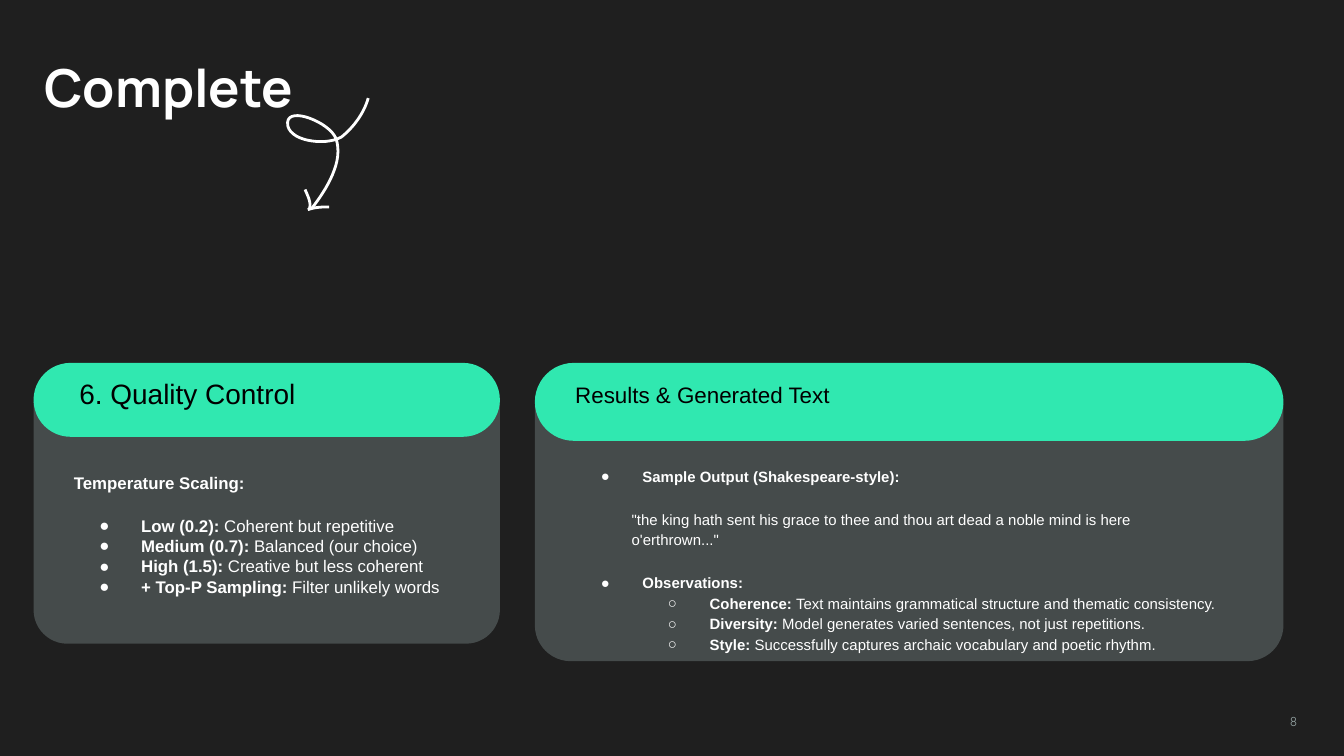
from lxml import etree
from pptx import Presentation
from pptx import util as u
from pptx.dml.color import RGBColor
from pptx.enum import shapes, text
from pptx.oxml import ns

PX = 9144
DARK = RGBColor(0x1F, 0x1F, 0x1F)
SLATE = RGBColor(0x45, 0x4B, 0x4B)
MINT = RGBColor(0x30, 0xE8, 0xB0)
WHITE = RGBColor(0xFF, 0xFF, 0xFF)
BLACK = RGBColor(0, 0, 0)
GREY = RGBColor(0x93, 0xA2, 0xA2)

PLAIN = {"left": 0, "indent": 0, "right": 0, "bullet": None, "before": 0}
GAP = {**PLAIN, "before": 12}
DOT = {**PLAIN, "left": 50, "indent": -31, "bullet": "●"}
GAP_DOT = {**DOT, "before": 12}
RING = {**DOT, "left": 100, "bullet": "○"}
QUOTE = {**GAP, "left": 42, "right": 42}

QUALITY = [
    (PLAIN, "Temperature Scaling:", ""),
    (GAP_DOT, "Low (0.2):", " Coherent but repetitive"),
    (DOT, "Medium (0.7):", " Balanced (our choice)"),
    (DOT, "High (1.5):", " Creative but less coherent"),
    (DOT, "+ Top-P Sampling:", " Filter unlikely words"),
]
RESULTS = [
    (DOT, "Sample Output (Shakespeare-style):", ""),
    (QUOTE, "", "\"the king hath sent his grace to thee and thou art dead "
                "a noble mind is here o'erthrown...\""),
    (GAP_DOT, "Observations:", ""),
    (RING, "Coherence:", " Text maintains grammatical structure and thematic consistency."),
    (RING, "Diversity:", " Model generates varied sentences, not just repetitions."),
    (RING, "Style:", " Successfully captures archaic vocabulary and poetic rhythm."),
]
LOOP = [(274, 73), (271, 84), (263, 95), (254, 102), (242, 109), (213, 105), (214, 91),
        (215, 79), (245, 91), (250, 103), (256, 120), (243, 141), (232, 155)]
BARBS = [[(227, 141), (229, 146), (232, 151), (230, 156)],
         [(229, 156), (235, 154), (240, 154), (245, 154)]]


def assign(obj, values):
    """Set each named attribute of an object."""
    for name, value in values.items():
        setattr(obj, name, value)


def place(s, sp, box, insets, anchor=text.MSO_ANCHOR.TOP):
    """Bring a text shape to the front, put it in its box and return its frame."""
    s.shapes.element.append(sp.element)
    assign(sp, dict(zip(("left", "top", "width", "height"), (v * PX for v in box))))
    tf = sp.text_frame
    names = ("margin_left", "margin_top", "margin_right", "margin_bottom")
    assign(tf, dict(zip(names, (v * PX for v in insets))))
    assign(tf, {"word_wrap": True, "auto_size": text.MSO_AUTO_SIZE.NONE,
                "vertical_anchor": anchor})
    return tf


def add_run(p, words, name, size, color, bold=False):
    """Add one formatted run to a paragraph."""
    r = p.add_run()
    r.text = words
    assign(r.font, {"name": name, "size": u.Pt(size), "bold": bold})
    r.font.color.rgb = color


def layout_paragraph(p, style, spacing):
    """Apply indents, bullet and spacing to a paragraph."""
    pPr = p._p.get_or_add_pPr()
    for key, name in (("left", "marL"), ("right", "marR"), ("indent", "indent")):
        pPr.set(name, str(style[key] * PX))
    if style["bullet"]:
        clr = etree.SubElement(pPr, ns.qn("a:buClr"))
        etree.SubElement(clr, ns.qn("a:srgbClr"), val=str(WHITE))
        etree.SubElement(pPr, ns.qn("a:buChar"), char=style["bullet"])
    else:
        etree.SubElement(pPr, ns.qn("a:buNone"))
    assign(p, {"alignment": text.PP_ALIGN.LEFT, "line_spacing": spacing,
               "space_before": u.Pt(style["before"]), "space_after": u.Pt(0)})


def add_block(s, kind, box, color, adjustments):
    """Add a flat filled shape with the given corner rounding."""
    sp = s.shapes.add_shape(kind, *(v * PX for v in box))
    sp.shadow.inherit = False
    sp.fill.solid()
    sp.fill.fore_color.rgb = color
    sp.line.fill.background()
    for i, value in enumerate(adjustments):
        sp.adjustments[i] = value


def add_card(s, box, head, panel_top, body, heading, items, holders):
    """Build a card with a rounded header, a panel and a bulleted body."""
    x, y, w, h = box
    head_h, head_dx, head_size = head
    body_dy, body_h, body_size, spacing = body
    add_block(s, shapes.MSO_SHAPE.ROUND_2_SAME_RECTANGLE,
              (x, y + panel_top, w, h - panel_top), SLATE, (0, 0.14))
    add_block(s, shapes.MSO_SHAPE.ROUNDED_RECTANGLE, (x, y, w, head_h), MINT, (0.5,))
    title, content = holders
    tf = place(s, title, (x + head_dx, y, w + 1, head_h), (30, 0, 30, 14),
               text.MSO_ANCHOR.MIDDLE)
    p = tf.paragraphs[0]
    layout_paragraph(p, PLAIN, 1.15)
    add_run(p, heading, "Arial", head_size, BLACK)
    tf = place(s, content, (x, y + body_dy, w + 1, body_h), (30, 10, 30, 10))
    for i, (style, label, words) in enumerate(items):
        p = tf.add_paragraph() if i else tf.paragraphs[0]
        layout_paragraph(p, style, spacing)
        for part, bold in ((label, True), (words, False)):
            if part:
                add_run(p, part, "Arial", body_size, WHITE, bold)


def bezier_points(nodes, steps=16):
    """Sample a chain of cubic curves as EMU points."""
    points = [(nodes[0][0] * PX, nodes[0][1] * PX)]
    for i in range(0, len(nodes) - 1, 3):
        for k in range(1, steps + 1):
            t = k / steps
            weights = ((1 - t) ** 3, 3 * t * (1 - t) ** 2, 3 * t * t * (1 - t), t ** 3)
            points.append(tuple(round(PX * sum(c * n[axis] for c, n in
                                               zip(weights, nodes[i:i + 4])))
                                for axis in (0, 1)))
    return points


def add_arrow(s, x, y):
    """Draw the looping arrow with its top-left corner at a point."""
    group = s.shapes.add_group_shape()
    for nodes in [LOOP, *BARBS]:
        points = bezier_points([(a - 214 + x, b - 73 + y) for a, b in nodes])
        builder = group.shapes.build_freeform(*points[0], scale=1.0)
        builder.add_line_segments(points[1:], close=False)
        sp = builder.convert_to_shape()
        sp.shadow.inherit = False
        sp.fill.background()
        sp.line.color.rgb = WHITE
        sp.line.width = u.Pt(1.5)


def add_title(s, box, words):
    """Fill the title placeholder."""
    p = place(s, s.shapes.title, box, (10, 10, 10, 10)).paragraphs[0]
    p.alignment = text.PP_ALIGN.LEFT
    add_run(p, words, "Manrope", 28, WHITE, True)


def add_page_number(s, box, number):
    """Add the right-aligned page number."""
    sp = s.shapes.add_textbox(0, 0, PX, PX)
    p = place(s, sp, box, (10, 10, 10, 10)).paragraphs[0]
    p.alignment = text.PP_ALIGN.RIGHT
    add_run(p, number, "Quicksand", 7, GREY)


def main():
    """Build and save the slide."""
    prs = Presentation()
    width = 1000 * PX
    assign(prs, {"slide_width": width, "slide_height": width * 9 // 16})
    s = prs.slides.add_slide(prs.slide_layouts.get_by_name("Comparison"))
    s.background.fill.solid()
    s.background.fill.fore_color.rgb = DARK
    ph = s.placeholders
    add_page_number(s, (735, 521, 240, 32), "8")
    add_card(s, (25, 270, 347, 209), (55, 4, 15), 29, (72, 186, 9, 1.0),
             "6. Quality Control", QUALITY, (ph[1], ph[2]))
    add_card(s, (398, 270, 557, 222), (58, 0, 12), 31, (66, 157, 8, 1.15),
             "Results & Generated Text", RESULTS, (ph[3], ph[4]))
    add_title(s, (23, 31, 624, 67), "Complete")
    add_arrow(s, 214, 73)
    prs.save("out.pptx")


if __name__ == "__main__":
    main()
